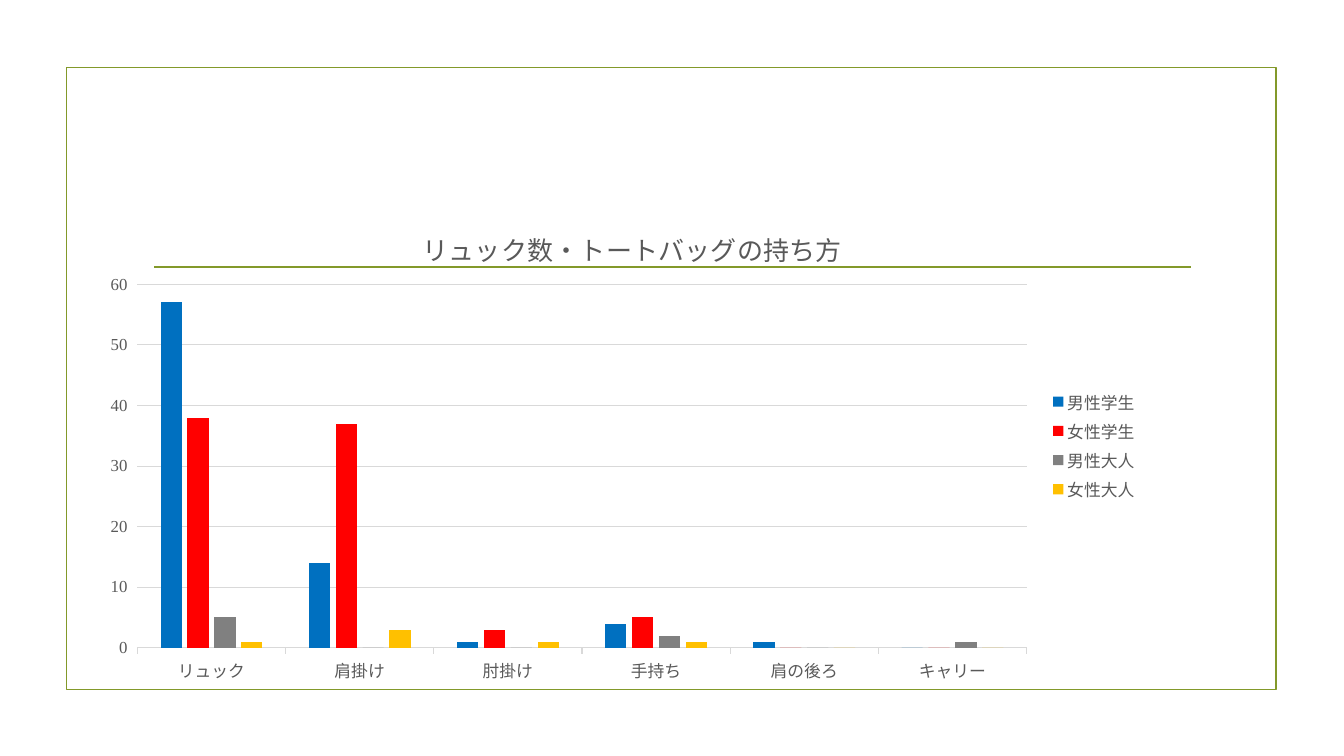
from lxml.etree import SubElement as Sub
from pptx import Presentation
from pptx.chart.data import CategoryChartData as ChartData
from pptx.dml.color import RGBColor as RGB
from pptx.enum.chart import XL_CHART_TYPE as Kind, XL_LEGEND_POSITION as Side
from pptx.enum.chart import XL_TICK_MARK as Tick
from pptx.enum.shapes import MSO_CONNECTOR as Link, MSO_SHAPE as Shape
from pptx.oxml import parse_xml
from pptx.oxml.ns import nsdecls, qn
from pptx.util import Inches, Pt

COLORS = {
    "olive": "83992A", "text": "595959", "grid": "D9D9D9",
    "blue": "0070C0", "red": "FF0000", "gray": "808080", "gold": "FFC000",
}
CATS = ["リュック", "肩掛け", "肘掛け", "手持ち", "肩の後ろ", "キャリー"]
SERIES = [
    ("男性学生", "blue", [57, 14, 1, 4, 1, 0]),
    ("女性学生", "red", [38, 37, 3, 5, 0, 0]),
    ("男性大人", "gray", [5, 0, 0, 2, 0, 1]),
    ("女性大人", "gold", [1, 3, 1, 1, 0, 0]),
]


def place(parent, **spots):
    """Set a manual chart layout, given as shares of the chart's size."""
    layout = parent.find(qn("c:layout"))
    if layout is None:
        layout = parse_xml(f"<c:layout {nsdecls('c')}/>")
        text = parent.find(qn("c:tx"))
        if text is None:
            parent.insert(0, layout)
        else:
            text.addnext(layout)
    for old in list(layout):
        layout.remove(old)
    manual = Sub(layout, qn("c:manualLayout"))
    if "w" in spots:
        Sub(manual, qn("c:layoutTarget")).set("val", "inner")
    for key in "xy":
        Sub(manual, qn(f"c:{key}Mode")).set("val", "edge")
    for key, share in spots.items():
        Sub(manual, qn(f"c:{key}")).set("val", str(share))


class Deck:
    """Slide on a grid whose columns and rows are a tenth of an inch."""
    font = "Times New Roman"
    cell = Inches(0.1)

    def __init__(self):
        self.show = Presentation()
        self.show.slide_width = Inches(13.33)
        self.show.slide_height = Inches(7.5)
        self.slide = self.show.slides.add_slide(self.show.slide_layouts[6])

    def grid(self, *cells):
        return [round(n * self.cell) for n in cells]

    def style(self, font, size=12, color="text"):
        font.name, font.size, font.bold = self.font, Pt(size), False
        font.color.rgb = RGB.from_string(COLORS[color])

    def stroke(self, line, color, width):
        line.color.rgb = RGB.from_string(COLORS[color])
        line.width = Pt(width)

    def label(self, frame, text, **form):
        frame.text = text
        self.style(frame.paragraphs[0].runs[0].font, **form)

    def frame(self, *cells):
        box = self.slide.shapes.add_shape(Shape.RECTANGLE, *self.grid(*cells))
        box.shadow.inherit = False
        box.fill.background()
        self.stroke(box.line, "olive", 1.25)

    def rule(self, *cells):
        line = self.slide.shapes.add_connector(Link.STRAIGHT, *self.grid(*cells))
        self.stroke(line.line, "olive", 1.25)
        Sub(line._element.spPr, qn("a:effectLst"))

    def bars(self, title, *cells):
        data = ChartData()
        data.categories = CATS
        for name, _, vals in SERIES:
            data.add_series(name, vals)
        chart = self.slide.shapes.add_chart(
            Kind.COLUMN_CLUSTERED, *self.grid(*cells), data).chart
        self.style(chart.font)
        root = chart._chartSpace
        root.find(qn("c:txPr")).addprevious(parse_xml(
            f"<c:spPr {nsdecls('c', 'a')}><a:noFill/>"
            "<a:ln><a:noFill/></a:ln></c:spPr>"))

        self.label(chart.chart_title.text_frame, title, size=18.6)
        chart.chart_title.include_in_layout = False
        place(chart.chart_title._element, x=0.31, y=0.05)
        place(root.chart.plotArea, x=0.045, y=0.175, w=0.84, h=0.733)

        plot = chart.plots[0]
        plot.gap_width, plot.overlap = 219, -27
        plot.vary_by_categories = False
        for bar, (_, color, _) in zip(plot.series, SERIES):
            bar.format.fill.solid()
            bar.format.fill.fore_color.rgb = RGB.from_string(COLORS[color])
            bar.invert_if_negative = False

        for axis in (chart.category_axis, chart.value_axis):
            self.style(axis.tick_labels.font)
            axis.major_tick_mark, axis.minor_tick_mark = Tick.OUTSIDE, Tick.NONE
        self.stroke(chart.category_axis.format.line, "grid", 0.75)
        scale = chart.value_axis
        scale.minimum_scale, scale.maximum_scale, scale.major_unit = 0, 60, 10
        scale.format.line.fill.background()
        self.stroke(scale.major_gridlines.format.line, "grid", 0.75)

        chart.has_legend = True
        chart.legend.position = Side.RIGHT
        chart.legend.include_in_layout = False
        self.style(chart.legend.font)


def main():
    deck = Deck()
    deck.frame(6.6, 6.7, 120, 61.7)
    deck.rule(15.3, 26.5, 118.1, 26.5)
    deck.bars("リュック数・トートバッグの持ち方", 8.9, 19.6, 105, 49.2)
    deck.show.save("out.pptx")


if __name__ == "__main__":
    main()
